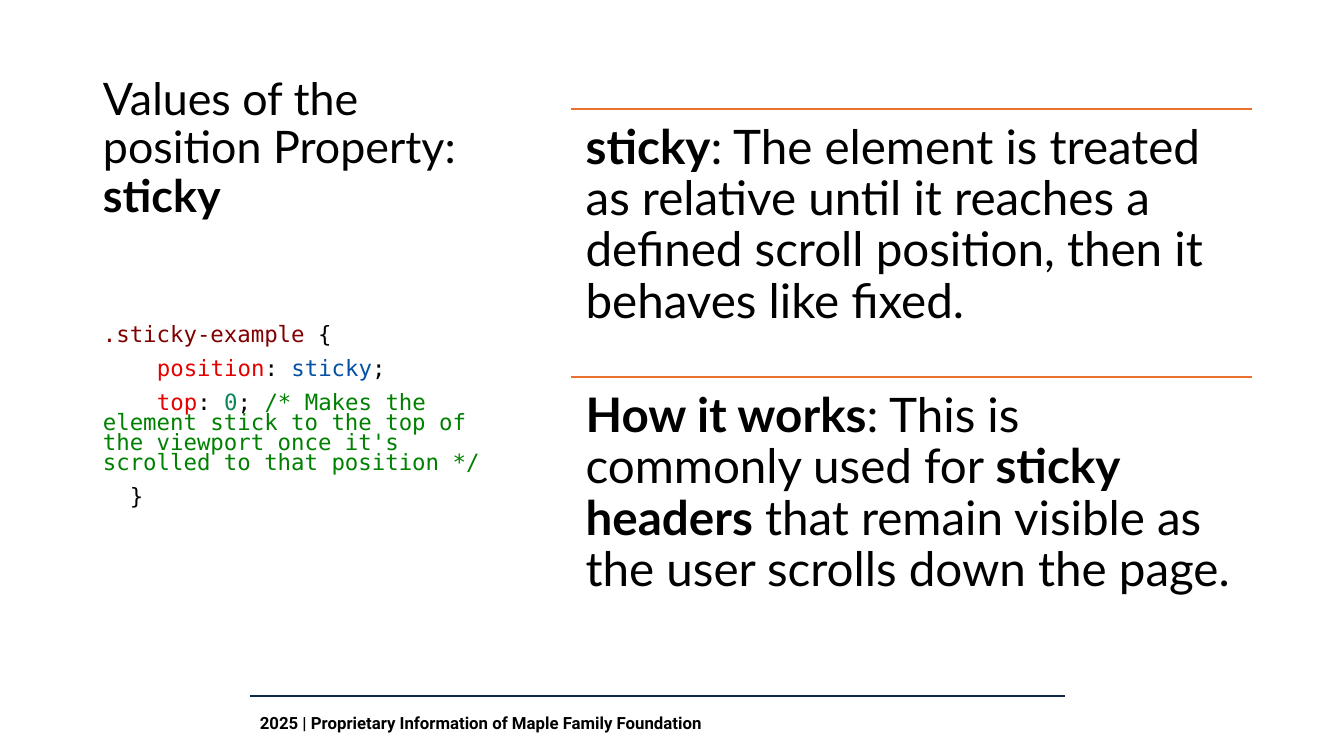
"""Build a slide that explains the sticky value of the CSS position property."""
from lxml.etree import SubElement
from pptx import Presentation
from pptx.dml.color import RGBColor
from pptx.enum.shapes import MSO_CONNECTOR
from pptx.enum.text import MSO_ANCHOR, MSO_AUTO_SIZE, PP_ALIGN
from pptx.oxml.ns import qn
from pptx.util import Cm, Pt

COLORS = {
    "text": "000000", "footer_rule": "0E2841", "point_rule": "E97132",
    "selector": "800000", "property": "E50000", "keyword": "0451A5",
    "number": "098658", "comment": "008000",
}


def add_rule(left, top, width, color):
    rule = slide.shapes.add_connector(
        MSO_CONNECTOR.STRAIGHT, Cm(left), Cm(top), Cm(left + width), Cm(top))
    rule.line.color.rgb = RGBColor.from_string(COLORS[color])
    rule.line.width = Pt(1.5)
    SubElement(rule._element.spPr, qn("a:effectLst"))


def write_line(paragraph, pieces, font_name, size):
    paragraph.font.name = font_name
    paragraph.font.size = Pt(size)
    for text, color, bold in pieces:
        run = paragraph.add_run()
        run.text = text
        run.font.bold = bold
        run.font.color.rgb = RGBColor.from_string(COLORS[color])


prs = Presentation()
prs.slide_width, prs.slide_height = Cm(33.87), Cm(19.05)
slide = prs.slides.add_slide(prs.slide_layouts[1])

footer = slide.shapes.add_textbox(Cm(6.3), Cm(17.7), Cm(20.55), Cm(1.09)).text_frame
footer.word_wrap = True
footer.margin_left = footer.margin_right = Cm(0.25)
footer.margin_top = footer.margin_bottom = Cm(0.25)
write_line(footer.paragraphs[0],
           [("2025 | Proprietary Information of Maple Family Foundation", "text", True)],
           "Roboto", 12)
add_rule(6.3, 17.53, 20.55, "footer_rule")

title = slide.shapes.title
title.left, title.top, title.width, title.height = Cm(2.34), Cm(1.27), Cm(10.92), Cm(4.45)
title.text_frame.vertical_anchor = MSO_ANCHOR.BOTTOM
title.text_frame.auto_size = MSO_AUTO_SIZE.NONE
heading = title.text_frame.paragraphs[0]
heading.alignment = PP_ALIGN.LEFT
heading.line_spacing = 0.9
write_line(heading, [("Values of the position Property: ", "text", False),
                     ("sticky", "text", True)], "Lato", 32)

code_lines = [
    (0, [(".sticky-example", "selector"), (" {", "text")]),
    (1.36, [("position", "property"), (": ", "text"), ("sticky", "keyword"), (";", "text")]),
    (1.36, [("top", "property"), (": ", "text"), ("0", "number"), ("; ", "text"),
            ("/* Makes the element stick to the top of the viewport once it's "
             "scrolled to that position */", "comment")]),
    (0.68, [("}", "text")]),
]
code = slide.placeholders[1]
code.left, code.top, code.width, code.height = Cm(2.34), Cm(5.72), Cm(10.92), Cm(9.63)
code.text_frame.vertical_anchor = MSO_ANCHOR.MIDDLE
code.text_frame.auto_size = MSO_AUTO_SIZE.NONE
for number, (indent, tokens) in enumerate(code_lines):
    line = code.text_frame.add_paragraph() if number else code.text_frame.paragraphs[0]
    line.line_spacing = Pt(14.2)
    line.space_before = Pt(10)
    properties = line._p.get_or_add_pPr()
    properties.set("marL", "0")
    properties.set("indent", str(Cm(indent)))
    SubElement(properties, qn("a:buNone"))
    write_line(line, [(text, color, False) for text, color in tokens],
               "DejaVu Sans Mono", 16)

points = [
    [("sticky", True),
     (": The element is treated as relative until it reaches a defined scroll "
      "position, then it behaves like fixed.", False)],
    [("How it works", True), (": This is commonly used for ", False),
     ("sticky headers", True),
     (" that remain visible as the user scrolls down the page.", False)],
]
point_left, point_width, point_height = 14.4, 17.15, 6.76
for number, pieces in enumerate(points):
    top = 2.74 + number * point_height
    add_rule(point_left, top, point_width, "point_rule")
    point = slide.shapes.add_textbox(
        Cm(point_left), Cm(top), Cm(point_width), Cm(point_height)).text_frame
    point.word_wrap = True
    point.margin_left = point.margin_right = Cm(0.36)
    point.margin_top = point.margin_bottom = Cm(0.36)
    point.paragraphs[0].line_spacing = 0.9
    write_line(point.paragraphs[0], [(text, "text", bold) for text, bold in pieces],
               "Lato", 34)

prs.save("out.pptx")
